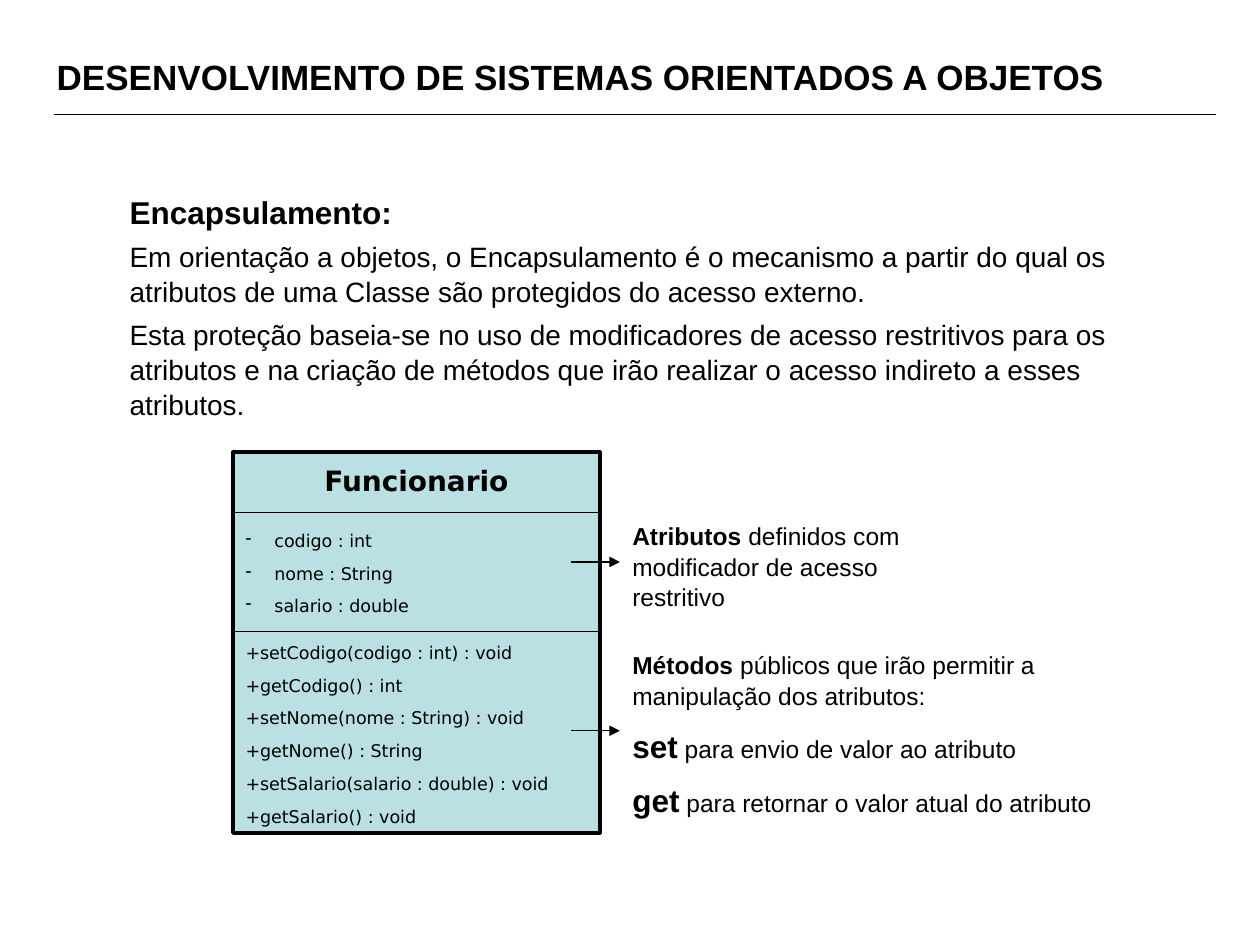
from lxml import etree
from pptx import Presentation
from pptx.dml.color import RGBColor
from pptx.enum import shapes, text
from pptx.oxml.ns import qn
from pptx.util import Inches, Pt

COLORS = {"ink": "000000", "paper": "FFFFFF", "card": "BBE0E3"}
SANS, MONO = "Arial", "DejaVu Sans"


def color(name):
    return RGBColor.from_string(COLORS[name])


def write(frame, paras, font=SANS, size=14, bold=False, gap=0,
          align=text.PP_ALIGN.LEFT, bullet=None, indent=0.23):
    """Fill a frame; a paragraph is a string or a list of (text, run format)."""
    frame.word_wrap = True
    frame.auto_size = text.MSO_AUTO_SIZE.NONE
    frame.vertical_anchor = text.MSO_ANCHOR.TOP
    for i, runs in enumerate(paras):
        para = frame.add_paragraph() if i else frame.paragraphs[0]
        if bullet:
            props = para._p.get_or_add_pPr()
            props.set("marL", str(Inches(indent)))
            props.set("indent", str(-Inches(indent)))
            etree.SubElement(props, qn("a:buChar")).set("char", bullet)
        para.alignment = align
        para.line_spacing = 1.04
        para.space_before = Pt(gap if i else 0)
        for words, form in [(runs, {})] if isinstance(runs, str) else runs:
            run = para.add_run()
            run.text = words
            run.font.name = font
            run.font.size = Pt(form.get("size", size))
            run.font.bold = form.get("bold", bold)
            run.font.color.rgb = color("ink")


class Deck:
    def __init__(self):
        self.prs = Presentation()
        self.prs.slide_width, self.prs.slide_height = Inches(10), Inches(7.5)
        self.slide = self.prs.slides.add_slide(self.prs.slide_layouts[5])
        fill = self.slide.background.fill
        fill.solid()
        fill.fore_color.rgb = color("paper")

    def title(self, words, x, y, w, h, **form):
        shape = self.slide.shapes.title
        shape.left, shape.top, shape.width, shape.height = map(Inches, (x, y, w, h))
        write(shape.text_frame, [words], **form)

    def text(self, paras, x, y, w, h, **form):
        box = self.slide.shapes.add_textbox(*map(Inches, (x, y, w, h)))
        write(box.text_frame, paras, **form)

    def card(self, x, y, w, h):
        shape = self.slide.shapes.add_shape(
            shapes.MSO_SHAPE.RECTANGLE, *map(Inches, (x, y, w, h)))
        shape.shadow.inherit = False
        shape.fill.solid()
        shape.fill.fore_color.rgb = color("card")
        shape.line.color.rgb = color("ink")
        shape.line.width = Pt(2.25)

    def rule(self, left, right, y, arrow=False):
        line = self.slide.shapes.add_connector(
            shapes.MSO_CONNECTOR.STRAIGHT, *map(Inches, (left, y, right, y)))
        line.line.color.rgb = color("ink")
        line.line.width = Pt(0.75)
        if arrow:
            stroke = line.line._get_or_add_ln()
            etree.SubElement(stroke, qn("a:tailEnd")).set("type", "triangle")
        etree.SubElement(line._element.spPr, qn("a:effectLst"))


def main():
    deck = Deck()
    deck.title("DESENVOLVIMENTO DE SISTEMAS ORIENTADOS A OBJETOS",
               0.35, 0.38, 9.29, 0.44, size=20, bold=True)
    deck.rule(0.43, 9.65, 0.91)

    deck.text([
        [("Encapsulamento:", {"size": 18, "bold": True})],
        "Em orientação a objetos, o Encapsulamento é o mecanismo a partir do "
        "qual os atributos de uma Classe são protegidos do acesso externo.",
        "Esta proteção baseia-se no uso de modificadores de acesso restritivos "
        "para os atributos e na criação de métodos que irão realizar o acesso "
        "indireto a esses atributos.",
    ], 0.93, 1.47, 8.71, 1.9, size=16, gap=4.5)

    left, wide = 1.85, 2.91
    deck.card(left, 3.59, wide, 3.02)
    deck.text(["Funcionario"], left, 3.62, wide, 0.37, font=MONO, size=16,
              bold=True, align=text.PP_ALIGN.CENTER)
    for y in (4.07, 5.01):
        deck.rule(left, left + wide, y)
    members = dict(font=MONO, size=10, gap=6.2)
    deck.text(["codigo : int", "nome : String", "salario : double"],
              left, 4.15, 2.41, 0.85, bullet="-", **members)
    deck.text([
        "+setCodigo(codigo : int) : void",
        "+getCodigo() : int",
        "+setNome(nome : String) : void",
        "+getNome() : String",
        "+setSalario(salario : double) : void",
        "+getSalario() : void",
    ], left, 5.04, wide, 1.55, **members)

    note = 4.92
    strong, large = {"bold": True}, {"bold": True, "size": 18}
    deck.text([
        [("Atributos", strong),
         (" definidos com modificador de acesso restritivo", {})],
    ], note, 4.08, 2.44, 0.8)
    deck.text([
        [("Métodos", strong),
         (" públicos que irão permitir a manipulação dos atributos:", {})],
        [("set", large), (" para envio de valor ao atributo", {})],
        [("get", large), (" para retornar o valor atual do atributo", {})],
    ], note, 5.1, 4.41, 1.41, gap=8.8)
    for y in (4.46, 5.8):
        deck.rule(4.53, note, y, arrow=True)

    deck.prs.save("out.pptx")


if __name__ == "__main__":
    main()
